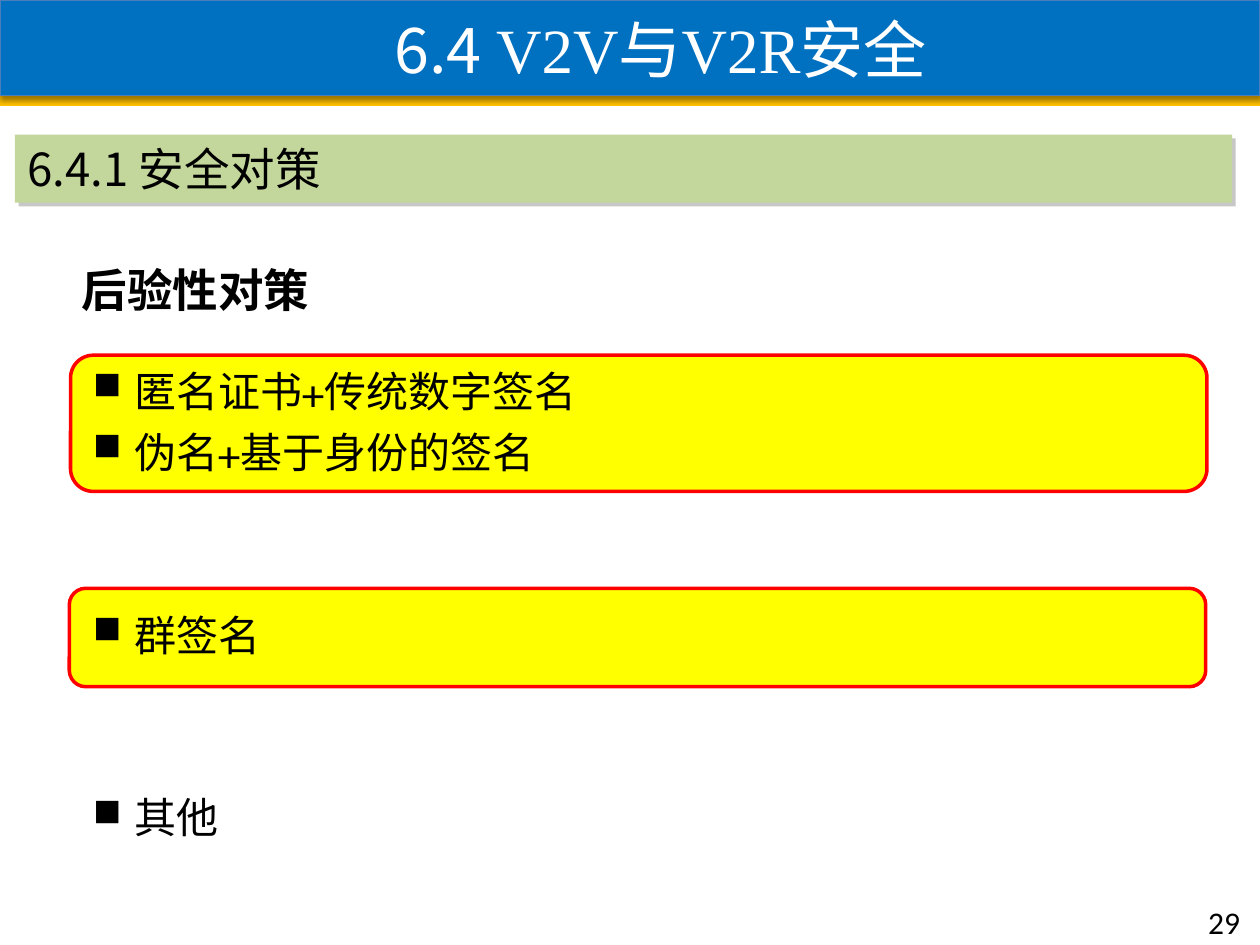
from lxml import etree
from pptx import Presentation
from pptx import util as u
from pptx.dml.color import RGBColor
from pptx.enum import shapes, text
from pptx.oxml.ns import qn

COLORS = {
    "blue": "0070C0", "edge": "4B7EBC", "gold": "FFC000", "yellow": "FFFF00",
    "red": "FF0000", "green": "C3D69B", "gray": "808080", "black": "000000",
    "white": "FFFFFF",
}
CJK = "Noto Sans CJK SC"


class Deck:
    """Holds the style and the current slide, and draws each kind of element."""

    def __init__(self):
        self.deck = Presentation()
        self.deck.slide_width, self.deck.slide_height = u.Pt(720), u.Pt(540)
        self.slide = self.deck.slides.add_slide(self.deck.slide_layouts[6])

    def color(self, name):
        return RGBColor.from_string(COLORS[name])

    def panel(self, box, fill, line=None, width=1, rounded=False, shadow=None):
        kind = shapes.MSO_SHAPE.ROUNDED_RECTANGLE if rounded else shapes.MSO_SHAPE.RECTANGLE
        panel = self.slide.shapes.add_shape(kind, *map(u.Pt, box))
        panel.fill.solid()
        panel.fill.fore_color.rgb = self.color(fill)
        if line:
            panel.line.color.rgb = self.color(line)
            panel.line.width = u.Pt(width)
        else:
            panel.line.fill.background()
        panel.shadow.inherit = False
        if shadow:
            self.cast_shadow(panel, *shadow)
        return panel

    def cast_shadow(self, panel, color, opacity, blur, distance, angle):
        effects = panel._element.spPr.find(qn("a:effectLst"))
        outer = etree.SubElement(
            effects, qn("a:outerShdw"), blurRad=str(u.Pt(blur)), dist=str(u.Pt(distance)),
            dir=str(angle * 60000), algn="t", rotWithShape="0")
        tint = etree.SubElement(outer, qn("a:srgbClr"), val=COLORS[color])
        etree.SubElement(tint, qn("a:alpha"), val=str(opacity * 1000))

    def textbox(self, box, wrap=True):
        area = self.slide.shapes.add_textbox(*map(u.Pt, box))
        area.text_frame.word_wrap = wrap
        return area

    def run(self, paragraph, words, size, font, color="black", bold=False):
        run = paragraph.add_run()
        run.text = words
        run.font.size = u.Pt(size)
        run.font.name = font
        run.font.bold = bold
        run.font.color.rgb = self.color(color)
        etree.SubElement(run._r.get_or_add_rPr(), qn("a:ea"), typeface=CJK)

    def label(self, area, runs, align=text.PP_ALIGN.LEFT, anchor=text.MSO_ANCHOR.TOP):
        area.text_frame.vertical_anchor = anchor
        paragraph = area.text_frame.paragraphs[0]
        paragraph.alignment = align
        for run in runs:
            self.run(paragraph, *run)

    def bullets(self, box, items, size, font):
        frame = self.textbox(box).text_frame
        for index, (words, gap) in enumerate(items):
            paragraph = frame.add_paragraph() if index else frame.paragraphs[0]
            properties = paragraph._p.get_or_add_pPr()
            properties.set("marL", str(u.Pt(24)))
            properties.set("indent", str(-u.Pt(24)))
            etree.SubElement(properties, qn("a:buSzPct"), val="92000")
            etree.SubElement(properties, qn("a:buChar"), char="■")
            if gap:
                paragraph.space_before = u.Pt(gap)
            paragraph.space_after = u.Pt(6)
            self.run(paragraph, words, size, font)


def main():
    deck = Deck()
    deck.panel((0, 54.7, 720, 5.8), "gold")
    for box in ((39.6, 336.2, 649.4, 56.2), (40.3, 203, 649.4, 77.8)):
        deck.panel(box, "yellow", "red", 2, rounded=True)

    group_gap = 69.7
    measures = [("匿名证书+传统数字签名", 0), ("伪名+基于身份的签名", 0),
                ("群签名", group_gap), ("其他", group_gap)]
    deck.bullets((46, 205.2, 629.3, 285.8), measures, 24, "Karla")

    section = deck.panel((8.6, 77, 695.5, 38.9), "green", shadow=("gray", 43, 0, 3, 45))
    deck.label(section, [("6.4.1 安全对策", 26, CJK)])
    topic = deck.textbox((39.6, 146.2, 146.2, 38.9), wrap=False)
    deck.label(topic, [("后验性对策", 26, "Arial", "black", True)])

    title = deck.panel((0, 0, 720, 54.7), "blue", "edge", 0.75,
                       shadow=("black", 38, 3.1, 1.6, 90))
    title.text_frame.margin_left = u.Pt(42)
    deck.label(title, [("6.4 ", 36, CJK, "white"),
                       ("V2V与V2R安全", 36, "Times New Roman", "white")],
               text.PP_ALIGN.CENTER, text.MSO_ANCHOR.MIDDLE)

    number = deck.textbox((683.3, 512.6, 33.8, 28.1))
    deck.label(number, [("29", 18, "Calibri")])
    deck.deck.save("out.pptx")


if __name__ == "__main__":
    main()
